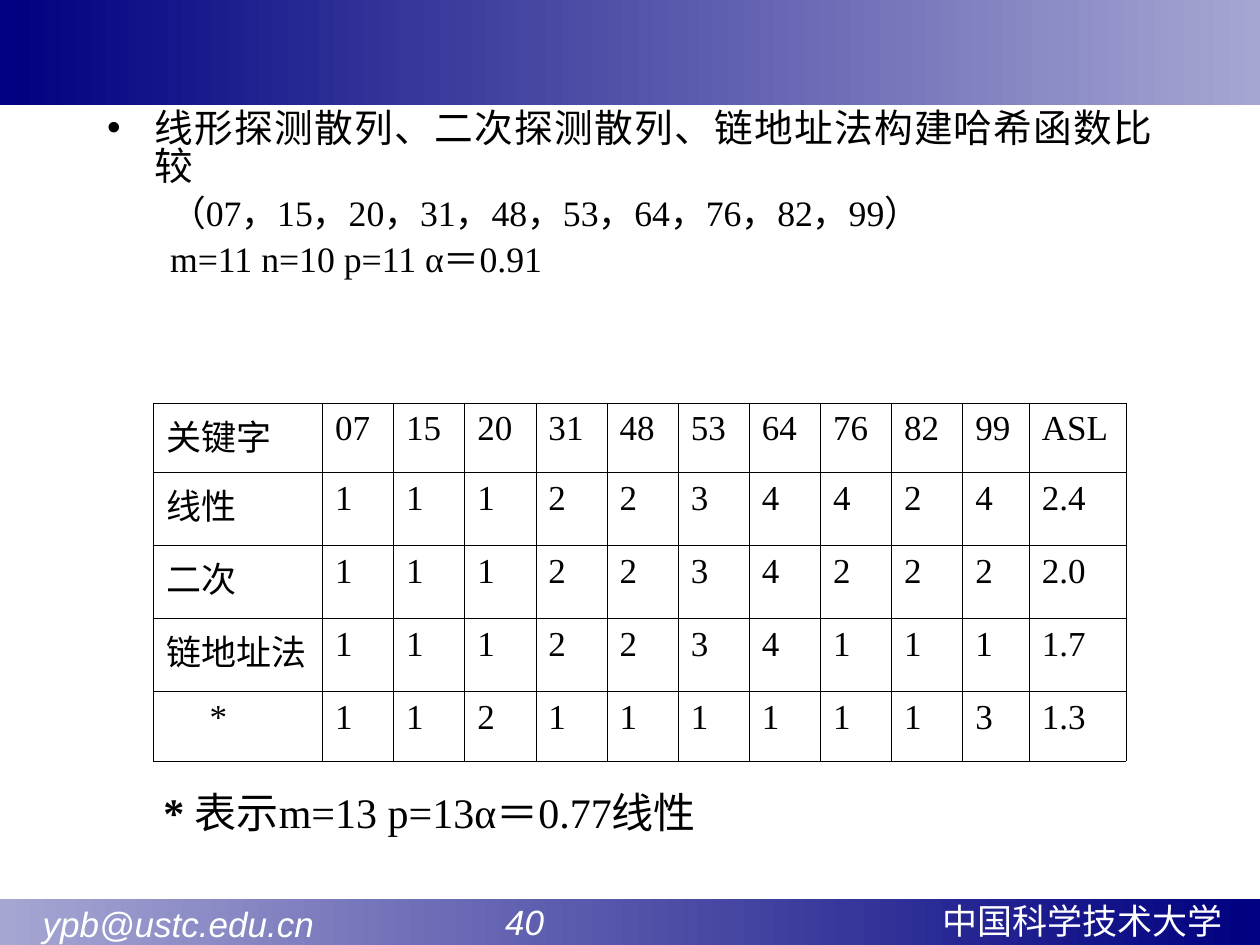
import pptx
import pptx.util
import pptx.dml.color
import pptx.enum.shapes
import pptx.enum.text
import pptx.oxml
import pptx.oxml.ns
from lxml import etree

Pt = pptx.util.Pt
RGBColor = pptx.dml.color.RGBColor
ALIGN = pptx.enum.text.PP_ALIGN
AUTO = pptx.enum.text.MSO_AUTO_SIZE

BLACK = RGBColor(0, 0, 0)
WHITE = RGBColor(255, 255, 255)
NAVY = RGBColor(0, 0, 128)
LILAC = RGBColor(0xA6, 0xA6, 0xD3)
SERIF = "Times New Roman"
SANS = "Arial"


def add_run(p, text, size, name, color, bold=False, italic=False):
    r = p.add_run()
    r.text = text
    r.font.size = Pt(size)
    r.font.name = name
    r.font.color.rgb = color
    r.font.bold = bold
    r.font.italic = italic


def add_box(left, top, width, height, wrap):
    sp = s.shapes.add_textbox(Pt(left), Pt(top), Pt(width), Pt(height))
    tf = sp.text_frame
    tf.word_wrap = wrap
    tf.auto_size = AUTO.SHAPE_TO_FIT_TEXT
    return tf.paragraphs[0]


prs = pptx.Presentation()
prs.slide_width = Pt(720)
prs.slide_height = Pt(540)
s = prs.slides.add_slide(prs.slide_layouts[1])
title = s.shapes.title
title.element.getparent().remove(title.element)

bands = [(514, 28, LILAC, NAVY), (0, 60, NAVY, LILAC)]
for top, height, start, end in bands:
    sp = s.shapes.add_shape(pptx.enum.shapes.MSO_SHAPE.RECTANGLE,
                            Pt(0), Pt(top), Pt(720), Pt(height))
    sp.shadow.inherit = False
    sp.line.fill.background()
    sp.fill.gradient()
    sp.fill.gradient_angle = 0
    for stop, color in zip(sp.fill.gradient_stops, (start, end)):
        stop.color.rgb = color

footers = [
    (531.4, 510.5, 185, 31, False, "中国科学技术大学", False),
    (281.5, 511.2, 106, 31.7, False, "40", True),
    (17.3, 511.9, 175, 31.7, True, "ypb@ustc.edu.cn", True),
]
for left, top, width, height, wrap, text, italic in footers:
    p = add_box(left, top, width, height, wrap)
    add_run(p, text, 20, SANS, WHITE, italic=italic)

body = s.placeholders[1]
body.left, body.top, body.width, body.height = Pt(54), Pt(60.5), Pt(612), Pt(153.4)
tf = body.text_frame
tf.auto_size = AUTO.NONE
lines = [
    ("线形探测散列、二次探测散列、链地址法构建哈希函数比较", 22.1, 0, 27, -27, "•"),
    ("（07，15，20，31，48，53，64，76，82，99）", 20.4, 1, 58.5, -22.5, None),
    ("m=11 n=10 p=11 α＝0.91", 20.4, 1, 58.5, -22.5, None),
]
for i, (text, size, level, margin, indent, bullet) in enumerate(lines):
    p = tf.add_paragraph() if i else tf.paragraphs[0]
    pPr = p._p.get_or_add_pPr()
    pPr.set("marL", str(Pt(margin)))
    pPr.set("indent", str(Pt(indent)))
    if bullet:
        etree.SubElement(pPr, pptx.oxml.ns.qn("a:buChar")).set("char", bullet)
    else:
        etree.SubElement(pPr, pptx.oxml.ns.qn("a:buNone"))
    p.level = level
    p.alignment = ALIGN.JUSTIFY
    p.line_spacing = 0.82
    p.space_before = Pt(6 if i else 0)
    add_run(p, text, size, SERIF, BLACK)

rows = [
    ["关键字", "07", "15", "20", "31", "48", "53", "64", "76", "82", "99", "ASL"],
    ["线性", "1", "1", "1", "2", "2", "3", "4", "4", "2", "4", "2.4"],
    ["二次", "1", "1", "1", "2", "2", "3", "4", "2", "2", "2", "2.0"],
    ["链地址法", "1", "1", "1", "2", "2", "3", "4", "1", "1", "1", "1.7"],
    ["*", "1", "1", "2", "1", "1", "1", "1", "1", "1", "3", "1.3"],
]
col_widths = [96.5] + [40.65] * 9 + [38, 55.4]
row_heights = [39.6] + [41.75] * 3 + [39.6]
gf = s.shapes.add_table(len(rows), len(col_widths), Pt(87.8), Pt(230.4),
                        Pt(sum(col_widths)), Pt(sum(row_heights)))
table = gf.table
table.first_row = False
table.horz_banding = False
for col, width in zip(table.columns, col_widths):
    col.width = Pt(width)
for row, height in zip(table.rows, row_heights):
    row.height = Pt(height)
for i, values in enumerate(rows):
    for j, value in enumerate(values):
        cell = table.cell(i, j)
        cell.margin_left = Pt(32 if value == "*" else 7.2)
        cell.margin_right = Pt(7.2)
        cell.margin_top = cell.margin_bottom = Pt(3.6)
        tcPr = cell._tc.get_or_add_tcPr()
        for side in ("lnL", "lnR", "lnT", "lnB"):
            ln = etree.SubElement(tcPr, pptx.oxml.ns.qn("a:" + side))
            ln.set("w", str(Pt(0.45)))
            fill = etree.SubElement(ln, pptx.oxml.ns.qn("a:solidFill"))
            etree.SubElement(fill, pptx.oxml.ns.qn("a:srgbClr")).set("val", str(BLACK))
        cell.fill.background()
        p = cell.text_frame.paragraphs[0]
        p.alignment = ALIGN.JUSTIFY
        add_run(p, value, 20, SERIF, BLACK)

p = add_box(72, 445.7, 347, 36, False)
p.alignment = ALIGN.CENTER
add_run(p, "* ", 24, SERIF, BLACK, bold=True)
add_run(p, "表示m=13 p=13α＝0.77线性", 24, SERIF, BLACK)

prs.save("out.pptx")
